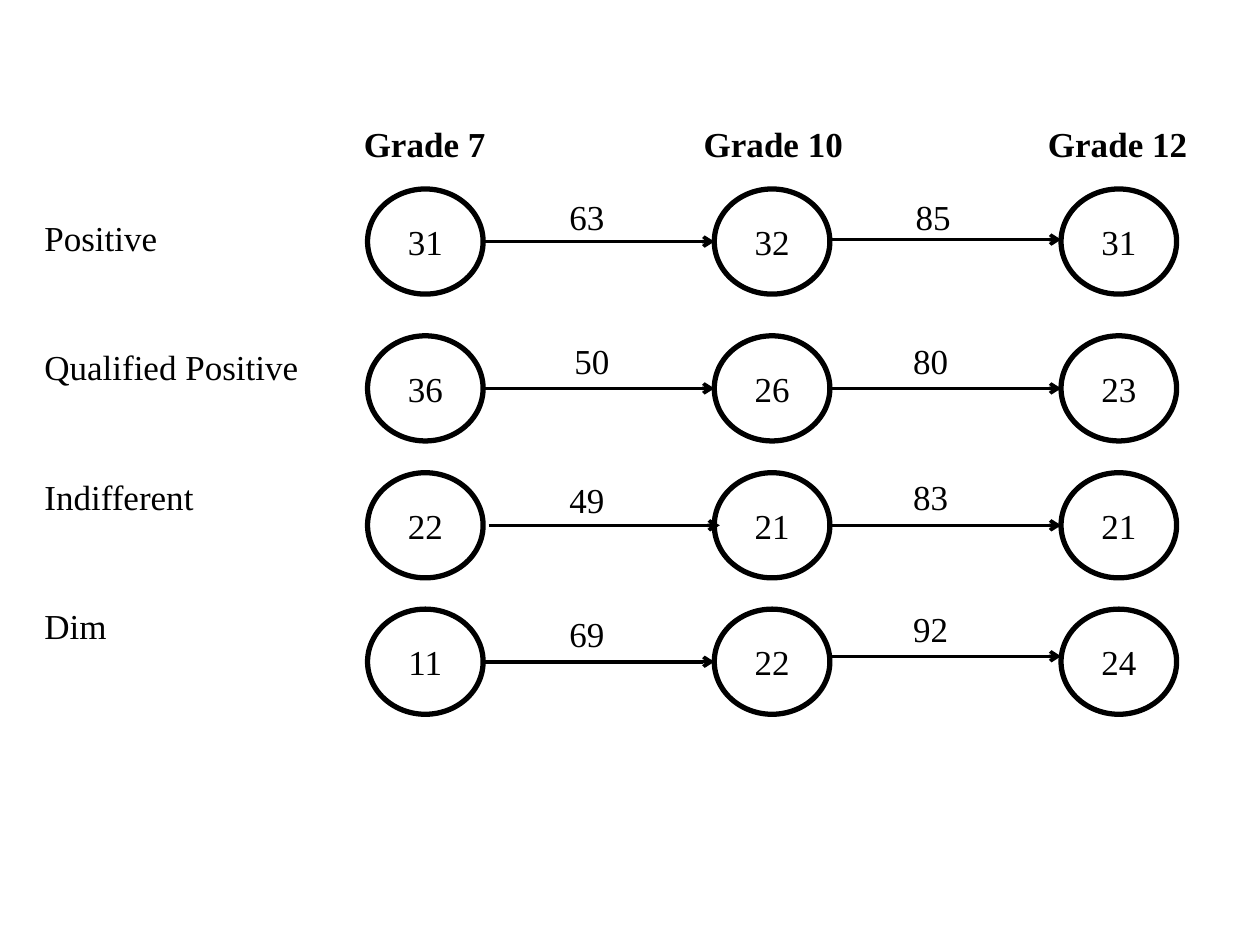
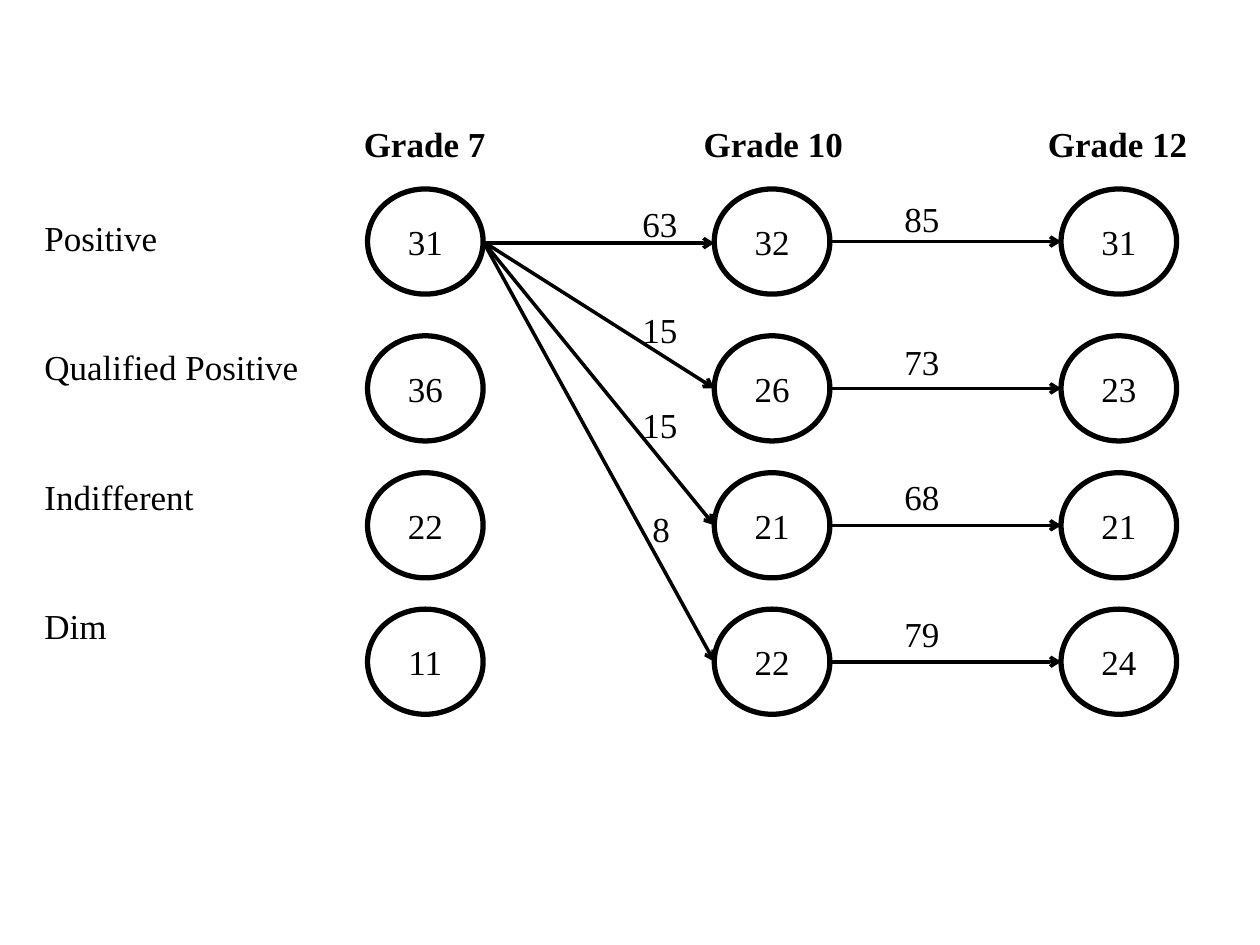
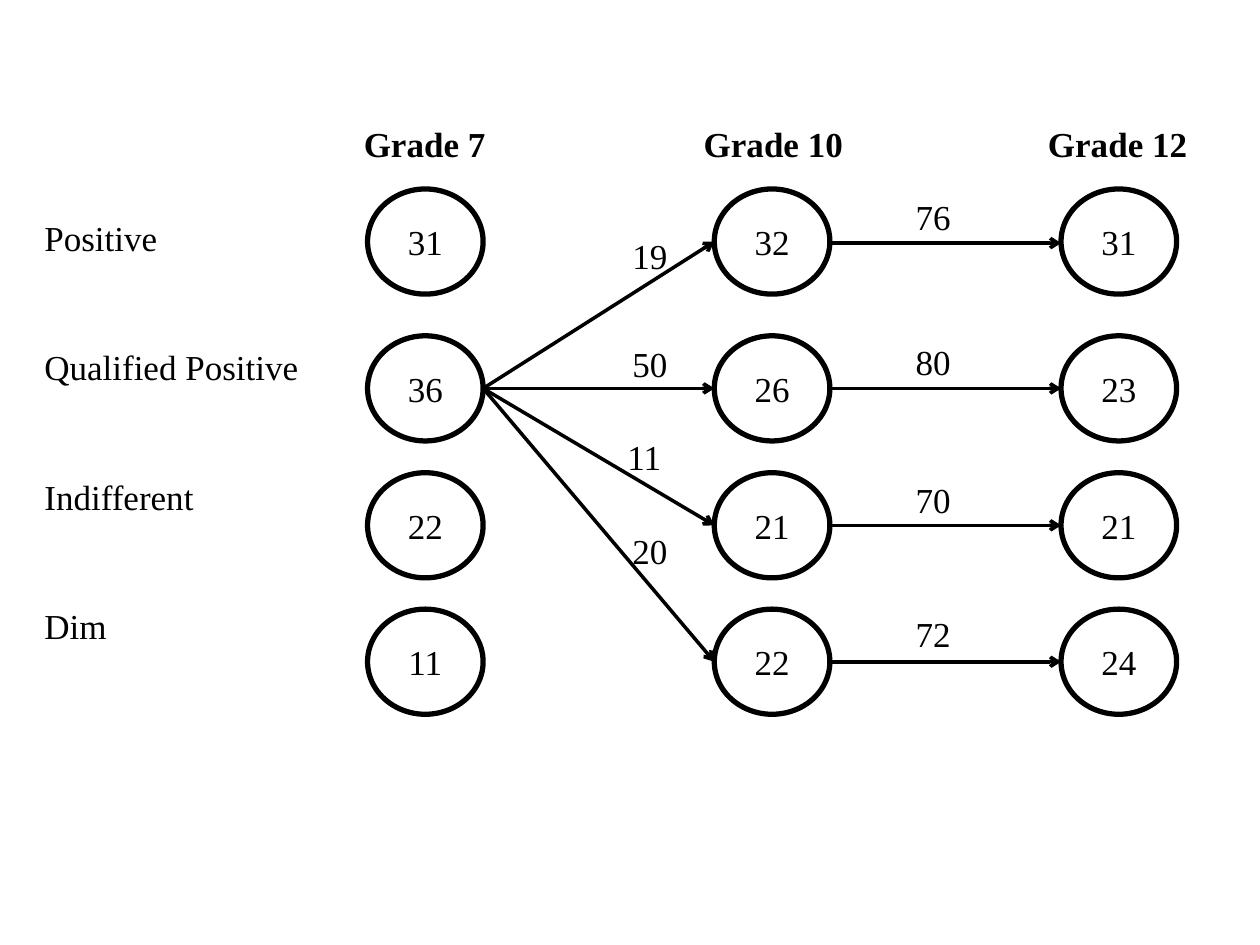
from dataclasses import dataclass

from lxml import etree
from pptx import Presentation
from pptx.dml.color import RGBColor
from pptx.enum import shapes, text
from pptx.oxml import ns
from pptx.util import Cm, Pt


@dataclass(frozen=True)
class Theme:
    font: str = "Times New Roman"
    size: int = 20
    ink: RGBColor = RGBColor(0, 0, 0)
    ring_width: float = 3
    arrow_width: float = 2


THEME = Theme()

GRADES = ["Grade 7", "Grade 10", "Grade 12"]
ATTITUDES = ["Positive", "Qualified Positive", "Indifferent", "Dim"]
SHARES = [(31, 32, 31), (36, 26, 23), (22, 21, 21), (11, 22, 24)]

# One list per slide; each flow is
# (grade column, from row, to row, percent, label left, label top[, arrow shift x, y])
FLOWS = [
    [
        (0, 0, 0, 63, 11.23, 3.81),
        (0, 1, 1, 50, 11.33, 6.71),
        (0, 2, 2, 49, 11.23, 9.53, 0.11, 0),
        (0, 3, 3, 69, 11.23, 12.22),
        (1, 0, 0, 85, 18.21, 3.81, 0, -0.04),
        (1, 1, 1, 80, 18.16, 6.71),
        (1, 2, 2, 83, 18.16, 9.47),
        (1, 3, 3, 92, 18.16, 12.12, 0, -0.11),
    ],
    [
        (0, 0, 0, 63, 12.7, 3.96, 0, 0.03),
        (0, 0, 1, 15, 12.7, 6.1),
        (0, 0, 2, 15, 12.7, 8),
        (0, 0, 3, 8, 12.9, 10.11),
        (1, 0, 0, 85, 17.98, 3.86),
        (1, 1, 1, 73, 17.98, 6.73),
        (1, 2, 2, 68, 17.98, 9.47),
        (1, 3, 3, 79, 17.98, 12.22),
    ],
    [
        (0, 1, 0, 19, 12.5, 4.6),
        (0, 1, 1, 50, 12.5, 6.78),
        (0, 1, 2, 11, 12.4, 8.66),
        (0, 1, 3, 20, 12.5, 10.54),
        (1, 0, 0, 76, 18.21, 3.81, 0, 0.03),
        (1, 1, 1, 80, 18.21, 6.73),
        (1, 2, 2, 70, 18.21, 9.53),
        (1, 3, 3, 72, 18.21, 12.22),
    ],
]

# Lengths in centimetres
TABLE_LEFT, TABLE_TOP = 0.64, 2.41
COLUMN_WIDTHS = [6.22, 3.4, 3.4, 3.86, 2.57, 4.88]
ROW_HEIGHTS = [1.04, 2.61, 2.61, 2.61, 3.4]
ATTITUDE_DROP = 0.98
RING_LEFT, RING_STEP = 7.41, 6.99
RING_TOPS = [3.81, 6.77, 9.53, 12.28]
RING_WIDTH, RING_HEIGHT = 2.33, 2.12
LABEL_WIDTH, LABEL_HEIGHT = 1.47, 1.12


def write(frame, words, *, bold=False, align=text.PP_ALIGN.LEFT):
    para = frame.paragraphs[0]
    para.alignment = align
    span = para.add_run()
    span.text = str(words)
    span.font.name = THEME.font
    span.font.size = Pt(THEME.size)
    span.font.bold = bold
    span.font.color.rgb = THEME.ink


def add_grid(page):
    """Add the borderless table that holds the grade and attitude names."""
    frame = page.shapes.add_table(
        len(ROW_HEIGHTS), len(COLUMN_WIDTHS), Cm(TABLE_LEFT), Cm(TABLE_TOP),
        Cm(sum(COLUMN_WIDTHS)), Cm(sum(ROW_HEIGHTS)))
    table = frame.table
    table.first_row = table.horz_banding = False
    for column, width in zip(table.columns, COLUMN_WIDTHS):
        column.width = Cm(width)
    for row, height in zip(table.rows, ROW_HEIGHTS):
        row.height = Cm(height)
    for cell in table.iter_cells():
        cell.fill.background()
    for index, grade in enumerate(GRADES):
        write(table.cell(0, 2 * index + 1).text_frame, grade,
              bold=True, align=text.PP_ALIGN.CENTER)
    for index, attitude in enumerate(ATTITUDES, start=1):
        cell = table.cell(index, 0)
        cell.margin_top = Cm(ATTITUDE_DROP)
        write(cell.text_frame, attitude)


def add_ring(page, column, row, share):
    ring = page.shapes.add_shape(
        shapes.MSO_SHAPE.OVAL, Cm(RING_LEFT + column * RING_STEP), Cm(RING_TOPS[row]),
        Cm(RING_WIDTH), Cm(RING_HEIGHT))
    ring.shadow.inherit = False
    ring.fill.background()
    ring.line.color.rgb = THEME.ink
    ring.line.width = Pt(THEME.ring_width)
    ring.text_frame.vertical_anchor = text.MSO_ANCHOR.MIDDLE
    write(ring.text_frame, share, align=text.PP_ALIGN.CENTER)


def add_flow(page, column, start, end, percent, left, top, shift_x=0, shift_y=0):
    """Add an arrow from one grade's ring to the next grade's, with its percentage."""
    start_x = RING_LEFT + column * RING_STEP + RING_WIDTH + shift_x
    end_x = RING_LEFT + (column + 1) * RING_STEP + shift_x
    start_y, end_y = (RING_TOPS[row] + RING_HEIGHT / 2 + shift_y for row in (start, end))
    arrow = page.shapes.add_connector(
        shapes.MSO_CONNECTOR.STRAIGHT, Cm(start_x), Cm(start_y), Cm(end_x), Cm(end_y))
    arrow.line.color.rgb = THEME.ink
    arrow.line.width = Pt(THEME.arrow_width)
    etree.SubElement(arrow.line._get_or_add_ln(), ns.qn("a:tailEnd"), type="arrow")
    etree.SubElement(arrow._element.spPr, ns.qn("a:effectLst"))

    box = page.shapes.add_textbox(Cm(left), Cm(top), Cm(LABEL_WIDTH), Cm(LABEL_HEIGHT))
    box.text_frame.word_wrap = True
    write(box.text_frame, percent)


def main():
    deck = Presentation()
    deck.slide_width, deck.slide_height = Cm(25.4), Cm(19.05)
    for flows in FLOWS:
        page = deck.slides.add_slide(deck.slide_layouts[6])
        add_grid(page)
        for row, shares in enumerate(SHARES):
            for column, share in enumerate(shares):
                add_ring(page, column, row, share)
        for flow in flows:
            add_flow(page, *flow)
    deck.save("out.pptx")


if __name__ == "__main__":
    main()
